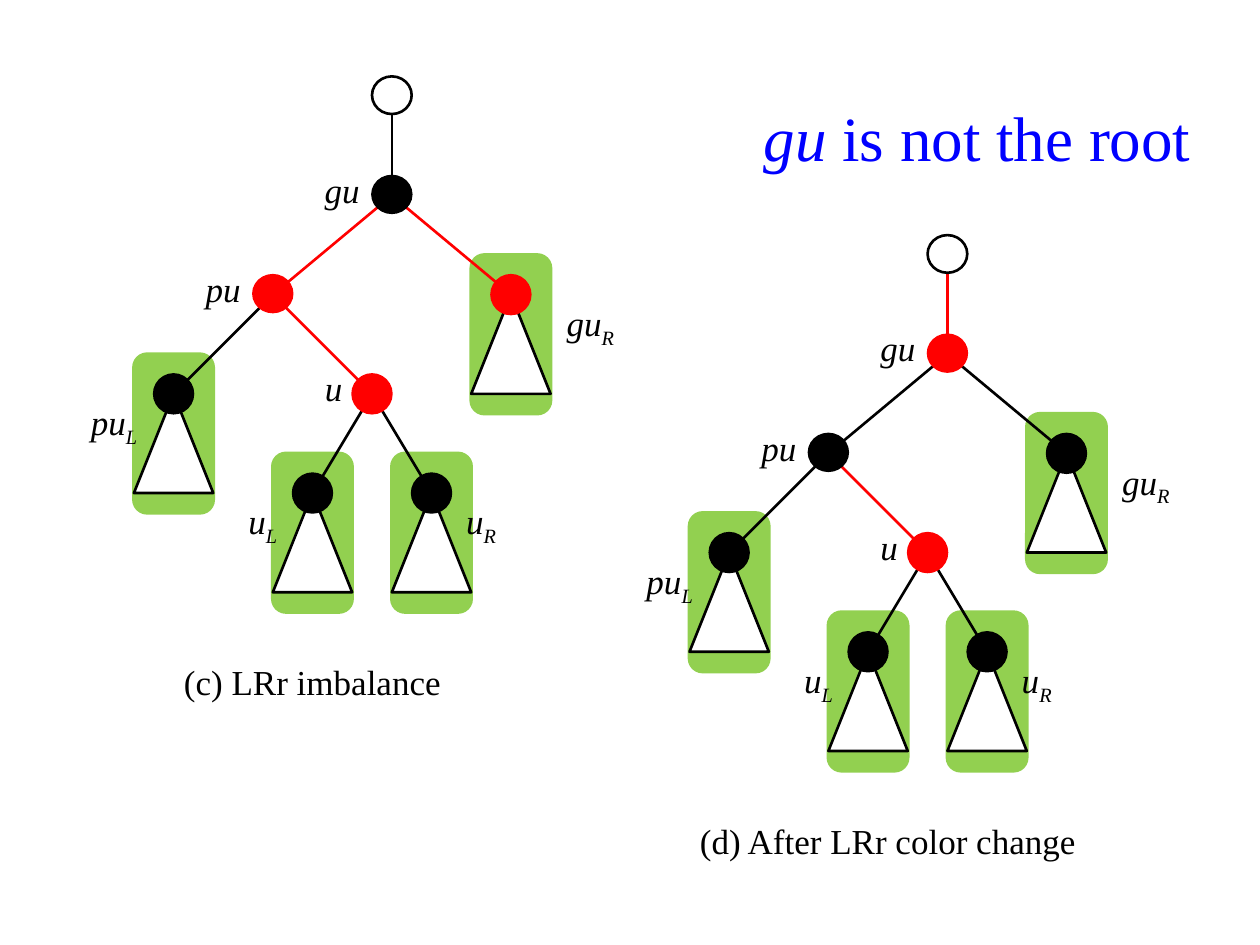
from lxml import etree
from pptx import Presentation
from pptx.dml.color import RGBColor
from pptx.enum.shapes import MSO_CONNECTOR, MSO_SHAPE
from pptx.enum.text import MSO_ANCHOR, PP_ALIGN
from pptx.oxml.ns import qn
from pptx.util import Inches, Pt

LINE = MSO_CONNECTOR.STRAIGHT
OVAL = MSO_SHAPE.OVAL
CONE = MSO_SHAPE.ISOSCELES_TRIANGLE
CARD = MSO_SHAPE.FLOWCHART_ALTERNATE_PROCESS
MID, LOW = MSO_ANCHOR.MIDDLE, MSO_ANCHOR.BOTTOM
MAIN = RGBColor.from_string
BLACK, RED, WHITE, GREEN, BLUE = "000000", "FF0000", "FFFFFF", "92D050", "0000FF"

deck = Presentation()
deck.slide_width, deck.slide_height = Inches(10), Inches(7.5)
slide = deck.slides.add_slide(deck.slide_layouts[6])
shapes = slide.shapes
CELL = deck.slide_width / 63.5


def block(kind, x, y, w, h, fill, edge, width):
    shape = shapes.add_shape(kind, *[round(n * CELL) for n in (x, y, w, h)])
    shape.shadow.inherit = False
    shape.fill.solid()
    shape.fill.fore_color.rgb = MAIN(fill)
    shape.line.color.rgb = MAIN(edge)
    shape.line.width = Pt(width)


def write(text, x, y, w, h, size=20, color=BLACK, slant="", sub="", anchor=LOW, pad=0.1):
    box = shapes.add_textbox(*[round(n * CELL) for n in (x, y, w, h)])
    frame = box.text_frame
    frame.word_wrap = True
    frame.vertical_anchor = anchor
    frame.margin_left = frame.margin_right = Inches(pad)
    frame.margin_top = Inches(0 if anchor == LOW else 0.05)
    frame.margin_bottom = Inches(0.04 if anchor == LOW else 0.05)
    para = frame.paragraphs[0]
    para.alignment = PP_ALIGN.CENTER
    for part, lean, base in ((slant, True, 0), (text, False, 0), (sub, True, -25000)):
        if part:
            run = para.add_run()
            run.text = part
            run.font.name = "Times New Roman"
            run.font.size = Pt(size)
            run.font.italic = lean
            run.font.color.rgb = MAIN(color)
            if base:
                run.font._element.set("baseline", str(base))


spots = {
    "root": (0, -5), "gu": (0, 0), "pu": (-6, 5), "u": (-1, 10),
    "guR": (6, 5), "puL": (-11, 10), "uL": (-4, 15), "uR": (2, 15),
}
links = [
    ("root", "gu"), ("gu", "pu"), ("gu", "guR"), ("pu", "u"),
    ("pu", "puL"), ("u", "uL"), ("u", "uR"),
]
leaves = ["guR", "puL", "uL", "uR"]
labels = [
    ("gu", -4, -1, 3, 0.08), ("pu", -4, -1, 3, 0.08), ("u", -3, -1, 2, 0.1),
    ("guR", 2, 1, 4, 0.1), ("puL", -5, 1, 4, 0.1),
    ("uL", -4, 1, 3, 0.1), ("uR", 1, 1, 3, 0.1),
]
trees = [
    (19.75, 9.85, {"pu", "u", "guR"}, {"pu", "guR", "u"},
     "(c) LRr imbalance", -12, 16),
    (47.75, 17.85, {"gu", "u"}, {"gu", "u"},
     "(d) After LRr color change", -14, 22),
]

for left, top, hot, paths, title, shift, span in trees:
    at = {name: (left + x, top + y) for name, (x, y) in spots.items()}
    for name in leaves:
        x, y = at[name]
        block(CARD, x - 2, y - 2, 4, 8, GREEN, GREEN, 2)
    for start, end in links:
        ends = [round(n * CELL) for n in at[start] + at[end]]
        link = shapes.add_connector(LINE, *ends)
        link.line.color.rgb = MAIN(RED if end in paths else BLACK)
        link.line.width = Pt(1.5)
        etree.SubElement(link._element.spPr, qn("a:effectLst"))
    for name in leaves:
        x, y = at[name]
        block(CONE, x - 2, y, 4, 5, WHITE, BLACK, 1.5)
    for name, (x, y) in at.items():
        high = 1.9 if name in ("root", "gu", "pu") else 2
        color = RED if name in hot else BLACK
        if name == "root":
            block(OVAL, x - 1, y - 1, 2, high, WHITE, BLACK, 1.5)
        else:
            block(OVAL, x - 1, y - 1, 2, high, color, color, 1)
    for name, dx, dy, wide, pad in labels:
        x, y = at[name]
        stem = name.rstrip("LR")
        write("", x + dx, y + dy, wide, 2, slant=stem, sub=name[len(stem):], pad=pad)
    write(title, left + shift, top + 23, span, 3, anchor=MID)

write(" is not the root", 36.75, 3.85, 25, 6, size=36, color=BLUE, slant="gu", anchor=MID)

deck.save("out.pptx")
